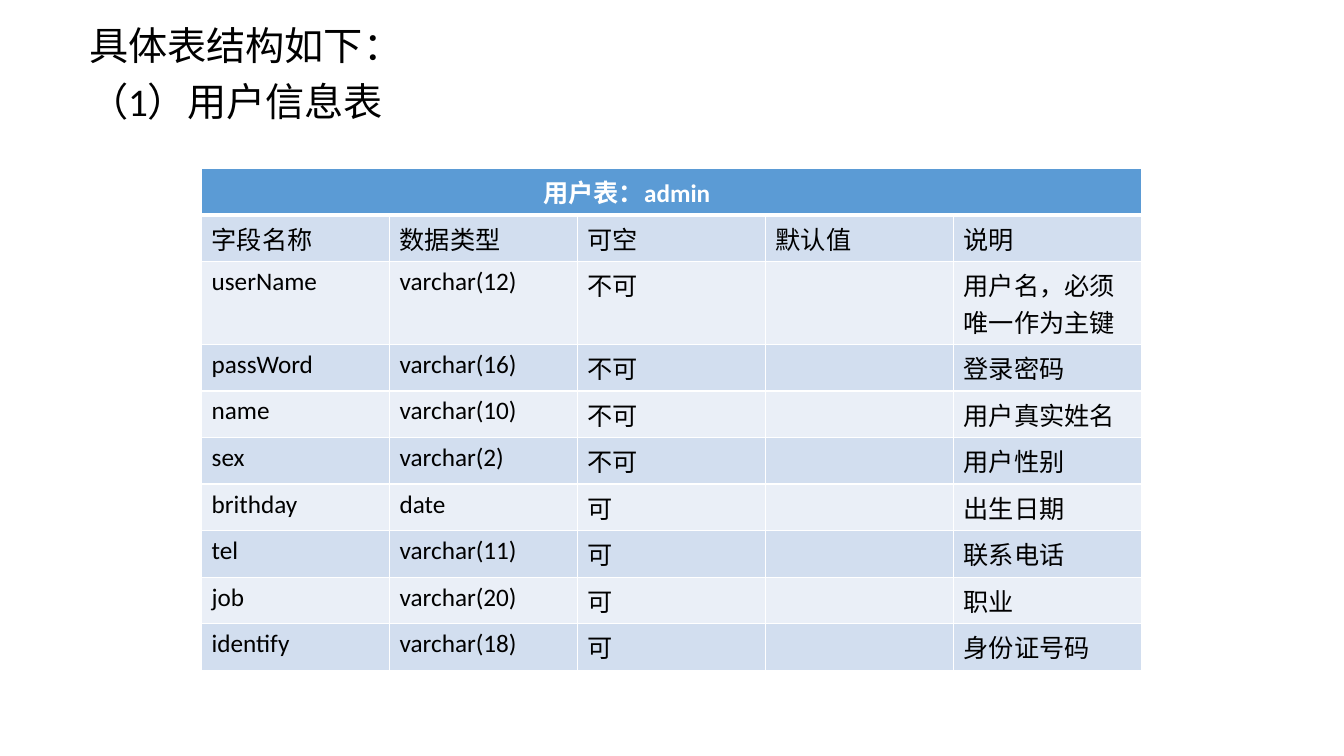
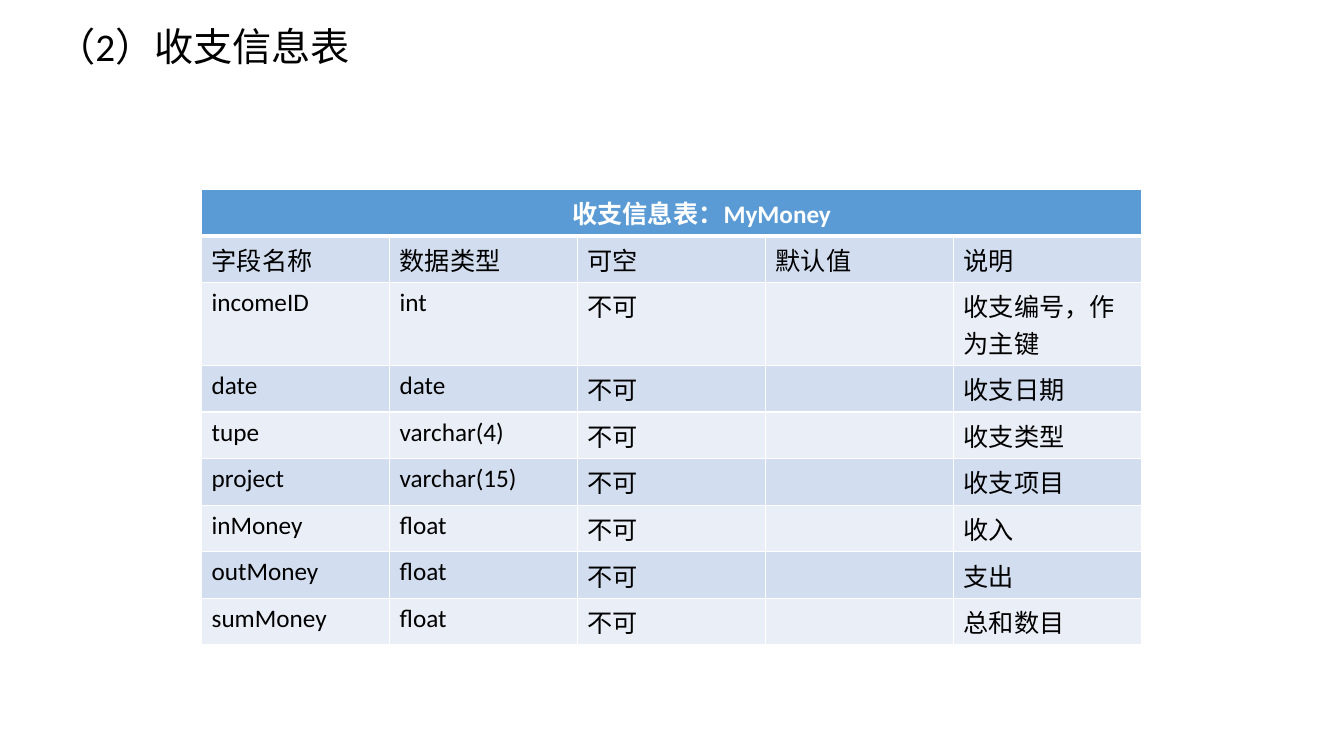
from lxml.etree import SubElement as Sub
from pptx import Presentation
from pptx.dml.color import RGBColor
from pptx.enum.lang import MSO_LANGUAGE_ID as Lang
from pptx.oxml.ns import qn
from pptx.util import Emu, Pt

BLUE, PALE, MIST = "5B9BD5", "D2DEEF", "EAEFF7"
WHITE, BLACK = "FFFFFF", "000000"
HEADS = ["字段名称", "数据类型", "可空", "默认值", "说明"]
KEY_ROW = 2  # its remark takes two lines


def px(n):
    """1000 px to the inch."""
    return Emu(n * 914400 // 1000)


def hue(code):
    return RGBColor.from_string(code)


class Deck:
    font = "Calibri"

    def __init__(self):
        self.prs = Presentation()
        self.prs.slide_width, self.prs.slide_height = px(13333), px(7500)
        self.page = None

    def slide(self):
        self.page = self.prs.slides.add_slide(self.prs.slide_layouts[6])

    def run(self, para, text, size, color=BLACK, bold=False):
        run = para.add_run()
        run.text = text
        font = run.font
        font.name, font.size, font.bold = self.font, Pt(size), bold
        font.language_id = Lang.SIMPLIFIED_CHINESE
        font.color.rgb = hue(color)

    def title(self, x, y, lines):
        box = self.page.shapes.add_textbox(px(x), px(y), px(11500), px(4760))
        frame = box.text_frame
        frame.word_wrap = True
        for i, line in enumerate(lines):
            para = frame.add_paragraph() if i else frame.paragraphs[0]
            para.line_spacing, para.space_before = 0.9, Pt(10)
            self.run(para, line, 28)

    def style(self, cell, fill, top, base):
        # Borders come before the fill in the cell properties
        props = cell._tc.get_or_add_tcPr()
        for side, width in zip("LRTB", (1, 1, top, base)):
            line = Sub(props, qn(f"a:ln{side}"), w=str(Pt(width)))
            Sub(Sub(line, qn("a:solidFill")), qn("a:srgbClr"), val=WHITE)
        cell.fill.solid()
        cell.fill.fore_color.rgb = hue(fill)

    def table(self, y, name, indent, rows):
        grid = [[name] + [""] * 4, HEADS] + rows
        highs = [823 if r == KEY_ROW else 462 for r in range(len(grid))]
        table = self.page.shapes.add_table(
            len(grid), 5, px(2000), px(y), px(9325), px(sum(highs))).table
        table.first_row = table.horz_banding = False
        for r, row in enumerate(grid):
            table.rows[r].height = px(highs[r])
            head = r == 0
            fill = BLUE if head else (MIST, PALE)[r % 2]
            for c, text in enumerate(row):
                cell = table.cell(r, c)
                self.style(cell, fill, 3 if r == 1 else 1, 3 if head else 1)
                if text:
                    self.run(cell.text_frame.paragraphs[0], text, 18,
                             WHITE if head else BLACK, head)
        # The name row spans the table and is indented
        first = table.cell(0, 0)
        first.merge(table.cell(0, 4))
        props = first.text_frame.paragraphs[0]._p.get_or_add_pPr()
        props.set("marL", str(px(indent)))


def main():
    deck = Deck()

    # User table
    deck.slide()
    deck.title(785, 215, ["具体表结构如下：", "（1）用户信息表"])
    deck.table(1670, "用户表：admin", 3290, [
        ["userName", "varchar(12)", "不可", "", "用户名，必须唯一作为主键"],
        ["passWord", "varchar(16)", "不可", "", "登录密码"],
        ["name", "varchar(10)", "不可", "", "用户真实姓名"],
        ["sex", "varchar(2)", "不可", "", "用户性别"],
        ["brithday", "date", "可", "", "出生日期"],
        ["tel", "varchar(11)", "可", "", "联系电话"],
        ["job", "varchar(20)", "可", "", "职业"],
        ["identify", "varchar(18)", "可", "", "身份证号码"],
    ])

    # Income and spending table
    deck.slide()
    deck.title(460, 230, ["（2）收支信息表"])
    deck.table(1880, "收支信息表：MyMoney", 3578, [
        ["incomeID", "int", "不可", "", "收支编号，作为主键"],
        ["date", "date", "不可", "", "收支日期"],
        ["tupe", "varchar(4)", "不可", "", "收支类型"],
        ["project", "varchar(15)", "不可", "", "收支项目"],
        ["inMoney", "float", "不可", "", "收入"],
        ["outMoney", "float", "不可", "", "支出"],
        ["sumMoney", "float", "不可", "", "总和数目"],
    ])

    deck.prs.save("out.pptx")


if __name__ == "__main__":
    main()
